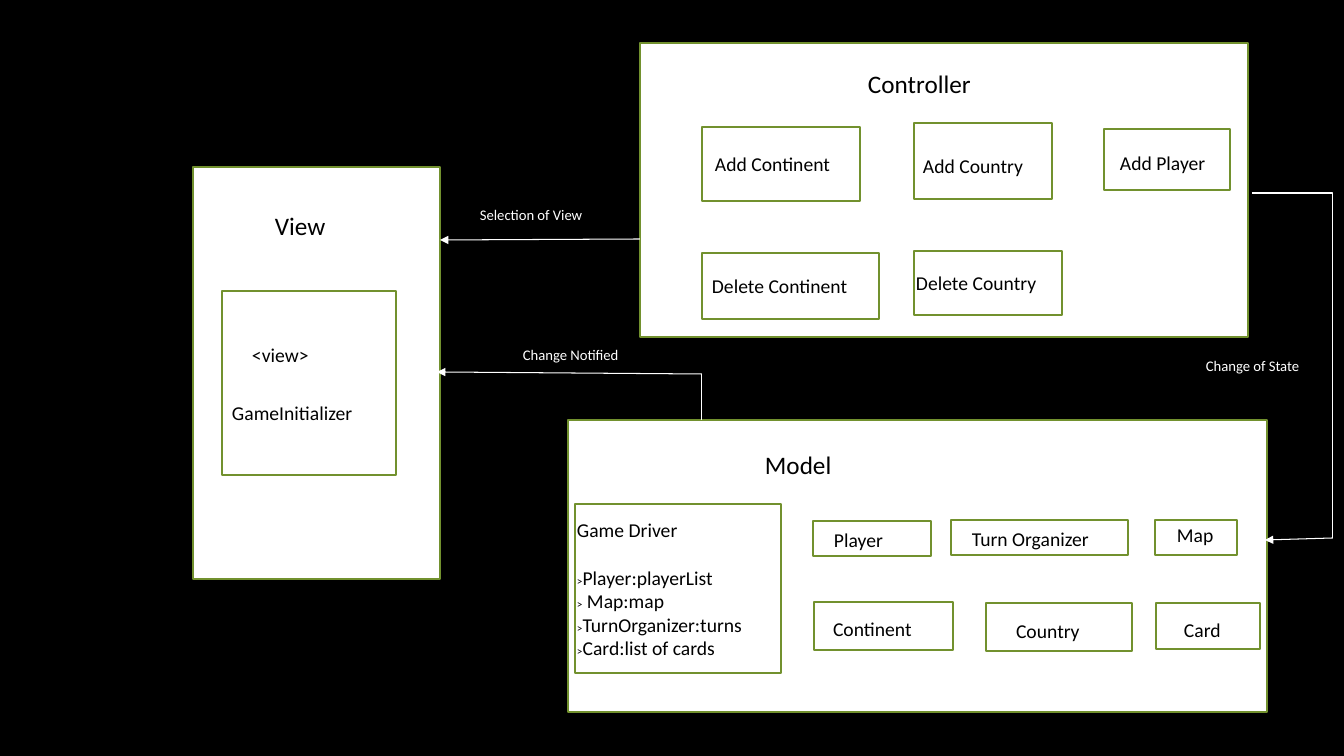
"""Model, view and controller diagram of a map-based turn game."""
import pptx
import pptx.util
import pptx.dml.color
import pptx.enum.shapes
import pptx.enum.text
import pptx.oxml
import pptx.oxml.ns

SCALE = 914400 / 100.8
COLOURS = {"black": "000000", "white": "FFFFFF", "green": "72912E"}


def pixels(*lengths):
    return [pptx.util.Emu(round(length * SCALE)) for length in lengths]


def write(shape, paragraphs, inset, colour):
    """Each paragraph is (indent, space before, [(text, size), ...])."""
    frame = shape.text_frame
    left, top = pixels(*inset)
    layout = {"margin_left": left, "margin_top": top, "margin_right": 0,
              "margin_bottom": 0, "word_wrap": True,
              "vertical_anchor": pptx.enum.text.MSO_ANCHOR.TOP}
    for name, value in layout.items():
        setattr(frame, name, value)
    for number, (indent, before, spans) in enumerate(paragraphs):
        para = frame.add_paragraph() if number else frame.paragraphs[0]
        para.alignment = pptx.enum.text.PP_ALIGN.LEFT
        para.space_before = pixels(before)[0]
        para._p.get_or_add_pPr().set("marL", str(pixels(indent)[0]))
        for text, size in spans:
            span = para.add_run()
            span.text = text
            span.font.name = "Calibri"
            span.font.size = pptx.util.Pt(size)
            span.font.color.rgb = pptx.dml.color.RGBColor.from_string(COLOURS[colour])


deck = pptx.Presentation()
deck.slide_width, deck.slide_height = pixels(1344, 756)
slide = deck.slides.add_slide(deck.slide_layouts[6])
slide.background.fill.solid()
slide.background.fill.fore_color.rgb = pptx.dml.color.RGBColor.from_string(COLOURS["black"])

panels = [
    ("View", (193, 167, 247, 412), (82, 43)),
    ("Controller", (640, 43, 608, 294), (228, 25)),
    ("Model", (568, 420, 699, 292), (197, 29)),
]
classes = [
    ("Player", (813, 521, 118, 35), (21, 7)),
    ("Turn Organizer", (951, 520, 177, 35), (21, 7)),
    ("Map", (1155, 520, 82, 35), (22, 3)),
    ("Continent", (814, 602, 139, 48), (19, 15)),
    ("Country", (986, 603, 146, 48), (30, 16)),
    ("Card", (1156, 603, 104, 46), (28, 15)),
    ("Add Continent", (702, 127, 158, 74), (13, 25)),
    ("Add Country", (914, 123, 138, 76), (9, 31)),
    ("Add Player", (1104, 129, 126, 61), (16, 22)),
    ("Delete Continent", (702, 253, 177, 66), (10, 21)),
    ("Delete Country", (914, 251, 148, 64), (2, 20)),
]
fields = ["Player:playerList", " Map:map", "TurnOrganizer:turns", "Card:list of cards"]
view_lines = [(20, 0, [("<view>", 14)]), (0, 34, [("GameInitializer", 14)])]
driver_lines = [(0, 0, [("Game Driver", 14)])]
for number, field in enumerate(fields):
    driver_lines.append((0, 0 if number else 24, [(">", 8), (field, 14)]))

boxes = [(place, inset, [(0, 0, [(name, 18)])]) for name, place, inset in panels]
boxes += [(place, inset, [(0, 0, [(name, 14)])]) for name, place, inset in classes]
boxes.append(((222, 291, 174, 184), (10, 52), view_lines))
boxes.append(((575, 504, 206, 169), (2, 14), driver_lines))
for place, inset, paragraphs in boxes:
    box = slide.shapes.add_shape(pptx.enum.shapes.MSO_SHAPE.RECTANGLE, *pixels(*place))
    box.shadow.inherit = False
    box.fill.solid()
    box.fill.fore_color.rgb = pptx.dml.color.RGBColor.from_string(COLOURS["white"])
    box.line.color.rgb = pptx.dml.color.RGBColor.from_string(COLOURS["green"])
    box.line.width = pptx.util.Pt(1.25)
    write(box, paragraphs, inset, "black")

captions = [
    ("Selection of View", 480, 206),
    ("Change Notified", 523, 346),
    ("Change of State", 1206, 357),
]
for caption, left, top in captions:
    label = slide.shapes.add_textbox(*pixels(left, top, 125, 20))
    write(label, [(0, 0, [(caption, 10.5)])], (0, 0), "white")

links = [
    ("line", (640, 239, 440, 240), True),
    ("bentConnector2", (1252, 193, 1333, 538), False),
    ("line", (1333, 538, 1265, 540), True),
    ("line", (702, 374, 702, 420), False),
    ("line", (702, 374, 437, 372), True),
]
for preset, ends, has_arrow in links:
    link = slide.shapes.add_connector(pptx.enum.shapes.MSO_CONNECTOR.STRAIGHT, *pixels(*ends))
    link.line.color.rgb = pptx.dml.color.RGBColor.from_string(COLOURS["white"])
    link.line.width = pptx.util.Pt(0.75)
    properties = link._element.spPr
    properties.find(pptx.oxml.ns.qn("a:prstGeom")).set("prst", preset)
    if has_arrow:
        arrow = pptx.oxml.parse_xml(f'<a:tailEnd {pptx.oxml.ns.nsdecls("a")} type="triangle"/>')
        properties.find(pptx.oxml.ns.qn("a:ln")).append(arrow)
    properties.append(pptx.oxml.parse_xml(f'<a:effectLst {pptx.oxml.ns.nsdecls("a")}/>'))

deck.save("out.pptx")
